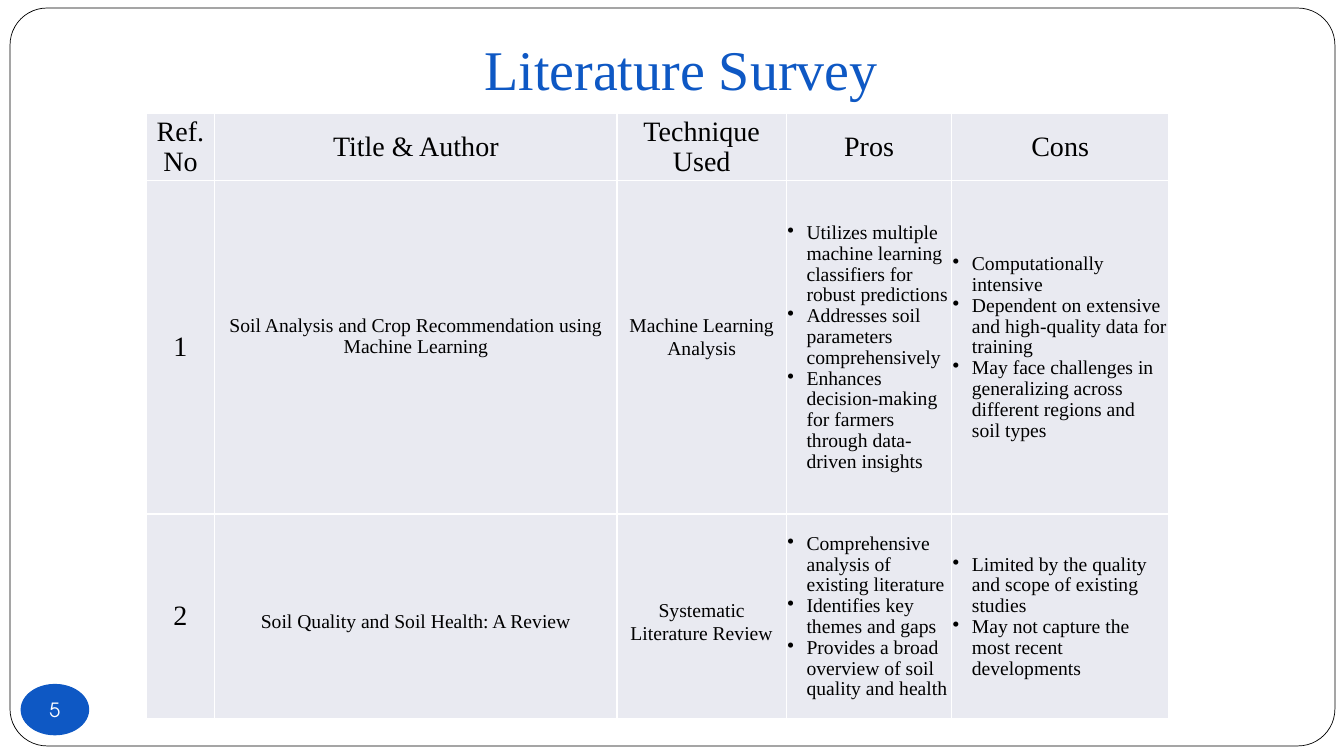
from lxml import etree
from pptx import Presentation
from pptx.dml.color import RGBColor
from pptx.enum.shapes import MSO_SHAPE
from pptx.enum.text import MSO_ANCHOR, PP_ALIGN
from pptx.oxml.ns import qn
from pptx.util import Inches, Pt

CENTER, LEFT = PP_ALIGN.CENTER, PP_ALIGN.LEFT
MIDDLE, BOTTOM = MSO_ANCHOR.MIDDLE, MSO_ANCHOR.BOTTOM
SERIF, SANS = "Times New Roman", "TeX Gyre Adventor"
BLUE, WHITE, BLACK, CELL_FILL = "0E58C4", "FFFFFF", "000000", "E9EAF1"
BULLET_INDENT = Inches(0.19)


def color(value):
    return RGBColor.from_string(value)


def write(frame, text, size=14, font=SERIF, ink=BLACK, align=CENTER,
          spacing=1.0, bullet=False):
    """Write each line of text as one paragraph of the frame."""
    for index, line in enumerate(text.split("\n")):
        paragraph = frame.paragraphs[0] if index == 0 else frame.add_paragraph()
        paragraph.alignment = align
        paragraph.line_spacing = spacing
        run = paragraph.add_run()
        run.text = line
        run.font.size = Pt(size)
        run.font.name = font
        run.font.color.rgb = color(ink)
        if bullet:
            properties = paragraph._p.get_or_add_pPr()
            properties.set("marL", str(BULLET_INDENT))
            properties.set("indent", str(-BULLET_INDENT))
            etree.SubElement(properties, qn("a:buChar")).set("char", "•")


presentation = Presentation()
presentation.slide_width = Inches(13.33)
presentation.slide_height = Inches(7.5)
slide = presentation.slides.add_slide(presentation.slide_layouts[6])
shapes = slide.shapes

# Rounded frame around the slide
border = shapes.add_shape(MSO_SHAPE.ROUNDED_RECTANGLE, Inches(0.1),
                          Inches(0.08), Inches(13.14), Inches(7.32))
border.adjustments[0] = 0.05
border.fill.solid()
border.fill.fore_color.rgb = color(WHITE)
border.line.color.rgb = color(BLACK)
border.line.width = Pt(0.5)
border.shadow.inherit = False

# Slide number badge
badge = shapes.add_shape(MSO_SHAPE.OVAL, Inches(0.21), Inches(6.79),
                         Inches(0.67), Inches(0.5))
badge.fill.solid()
badge.fill.fore_color.rgb = color(BLUE)
badge.line.color.rgb = color(BLUE)
badge.line.width = Pt(0.75)
badge.shadow.inherit = False
frame = badge.text_frame
frame.margin_left = frame.margin_right = frame.margin_top = frame.margin_bottom = 0
frame.word_wrap = False
frame.vertical_anchor = MIDDLE
write(frame, "5", font=SANS, ink=WHITE)

# Title
title = shapes.add_textbox(Inches(1.09), Inches(0.19), Inches(11.33), Inches(0.92))
frame = title.text_frame
frame.word_wrap = True
frame.vertical_anchor = BOTTOM
frame.margin_bottom = Inches(0.1)
write(frame, "Literature Survey", size=40, ink=BLUE)

# Survey table
HEADER = dict(size=20, spacing=0.96)
PAPER = dict(spacing=0.96)
TECHNIQUE = dict(spacing=1.05)
POINTS = dict(align=LEFT, spacing=0.96, bullet=True)
column_widths = [0.68, 3.99, 1.68, 1.64, 2.15]
row_heights = [0.66, 3.31, 2.03]
row_formats = [[HEADER] * 5] + [[HEADER, PAPER, TECHNIQUE, POINTS, POINTS]] * 2
# Extra top and bottom margins of the paper and technique columns
row_offsets = [(0, 0), (0, 0.22), (0.1, 0)]
rows = [
    ["Ref. No", "Title & Author", "Technique Used", "Pros", "Cons"],
    ["1",
     "Soil Analysis and Crop Recommendation using Machine Learning",
     "Machine Learning Analysis",
     "Utilizes multiple machine learning classifiers for robust predictions\n"
     "Addresses soil parameters comprehensively\n"
     "Enhances decision-making for farmers through data-driven insights",
     "Computationally intensive\n"
     "Dependent on extensive and high-quality data for training\n"
     "May face challenges in generalizing across different regions and soil types"],
    ["2",
     "Soil Quality and Soil Health: A Review",
     "Systematic Literature Review",
     "Comprehensive analysis of existing literature\n"
     "Identifies key themes and gaps\n"
     "Provides a broad overview of soil quality and health",
     "Limited by the quality and scope of existing studies\n"
     "May not capture the most recent developments"],
]
table = shapes.add_table(len(rows), len(column_widths), Inches(1.45), Inches(1.13),
                         Inches(sum(column_widths)), Inches(sum(row_heights))).table
for column, width in zip(table.columns, column_widths):
    column.width = Inches(width)
for row, height in zip(table.rows, row_heights):
    row.height = Inches(height)

for row_index, texts in enumerate(rows):
    for column_index, text in enumerate(texts):
        cell = table.cell(row_index, column_index)
        top, bottom = row_offsets[row_index] if column_index in (1, 2) else (0, 0)
        cell.margin_left = cell.margin_right = Inches(0.01)
        cell.margin_top = Inches(0.01 + top)
        cell.margin_bottom = Inches(bottom)
        cell.vertical_anchor = MIDDLE
        # Borders come before the fill in the cell properties
        properties = cell._tc.get_or_add_tcPr()
        for side in ("a:lnL", "a:lnR", "a:lnT", "a:lnB"):
            edge = etree.SubElement(properties, qn(side), w=str(Pt(1)))
            fill = etree.SubElement(edge, qn("a:solidFill"))
            etree.SubElement(fill, qn("a:srgbClr"), val=WHITE)
        cell.fill.solid()
        cell.fill.fore_color.rgb = color(CELL_FILL)
        write(cell.text_frame, text, **row_formats[row_index][column_index])

presentation.save("out.pptx")
